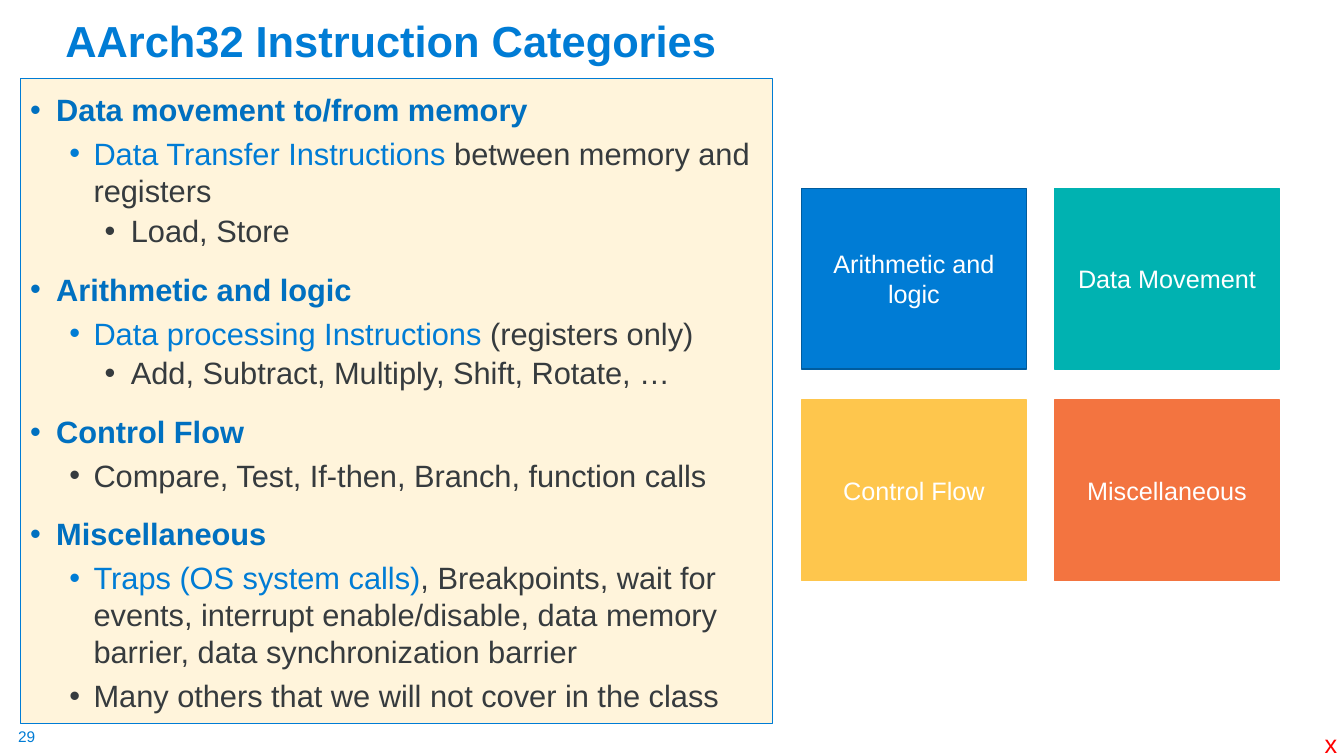
from dataclasses import dataclass

from lxml.etree import SubElement
from pptx import Presentation
from pptx.dml.color import RGBColor as RGB
from pptx.enum.shapes import MSO_SHAPE as Shape
from pptx.enum.text import MSO_ANCHOR as Anchor, PP_ALIGN as Align
from pptx.oxml.ns import qn
from pptx.util import Inches, Pt

FONT = "Arial"
BLUE = RGB(0x00, 0x7C, 0xD5)
HEAD = RGB(0x00, 0x70, 0xC0)
NAVY = RGB(0x00, 0x5C, 0x9E)
TEAL = RGB(0x00, 0xB2, 0xB1)
YELLOW = RGB(0xFE, 0xC6, 0x4D)
ORANGE = RGB(0xF3, 0x74, 0x40)
CREAM = RGB(0xFF, 0xF4, 0xDB)
GRAY = RGB(0x36, 0x3B, 0x3E)
WHITE = RGB(0xFF, 0xFF, 0xFF)
RED = RGB(0xFF, 0x00, 0x00)


@dataclass
class Level:
    left: float
    hang: float
    line: float
    before: int


@dataclass
class Item:
    level: int
    text: str
    lead: str = ""


@dataclass
class Tile:
    text: str
    fill: RGB
    edge: RGB


LEVELS = [
    Level(0.26, 0.26, 1.2, 10),
    Level(0.63, 0.24, 1.0, 5),
    Level(1.0, 0.26, 0.9, 5),
]

ITEMS = [
    Item(0, "Data movement to/from memory"),
    Item(1, "between memory and registers", "Data Transfer Instructions "),
    Item(2, "Load, Store"),
    Item(0, "Arithmetic and logic"),
    Item(1, "(registers only)", "Data processing Instructions "),
    Item(2, "Add, Subtract, Multiply, Shift, Rotate, …"),
    Item(0, "Control Flow"),
    Item(1, "Compare, Test, If-then, Branch, function calls"),
    Item(0, "Miscellaneous"),
    Item(1, ", Breakpoints, wait for events, interrupt enable/disable, "
            "data memory barrier, data synchronization barrier",
         "Traps (OS system calls)"),
    Item(1, "Many others that we will not cover in the class"),
]

TILES = [
    Tile("Arithmetic and logic", BLUE, NAVY),
    Tile("Data Movement", TEAL, TEAL),
    Tile("Control Flow", YELLOW, YELLOW),
    Tile("Miscellaneous", ORANGE, ORANGE),
]


def style(run, size: float, color: RGB, bold: bool = False) -> None:
    font = run.font
    font.name, font.size, font.bold = FONT, Pt(size), bold
    font.color.rgb = color


def add_label(slide, text: str, box: tuple, size: float, color: RGB,
              bold: bool = False):
    frame = slide.shapes.add_textbox(*map(Inches, box)).text_frame
    frame.text = text
    style(frame.paragraphs[0].runs[0], size, color, bold)
    return frame


def add_rect(slide, box: tuple, fill: RGB, edge: RGB, width: float):
    rect = slide.shapes.add_shape(Shape.RECTANGLE, *map(Inches, box))
    rect.shadow.inherit = False
    rect.fill.solid()
    rect.fill.fore_color.rgb = fill
    rect.line.color.rgb = edge
    rect.line.width = Pt(width)
    rect.text_frame.word_wrap = True
    return rect.text_frame


def add_bullet(para, level: Level) -> None:
    props = para._p.get_or_add_pPr()
    props.set("marL", str(Inches(level.left)))
    props.set("indent", str(-Inches(level.hang)))
    SubElement(props, qn("a:buFont")).set("typeface", FONT)
    SubElement(props, qn("a:buChar")).set("char", "•")


def add_list(slide) -> None:
    frame = add_rect(slide, (0.2, 0.78, 7.46, 6.4), CREAM, BLUE, 0.75)
    frame.vertical_anchor = Anchor.TOP
    for i, item in enumerate(ITEMS):
        para = frame.add_paragraph() if i else frame.paragraphs[0]
        level = LEVELS[item.level]
        add_bullet(para, level)
        para.level = item.level
        para.alignment = Align.LEFT
        para.line_spacing = level.line
        para.space_before = Pt(level.before if i else 0)
        top = item.level == 0
        if item.lead:
            run = para.add_run()
            run.text = item.lead
            style(run, 22, BLUE)
        run = para.add_run()
        run.text = item.text
        style(run, 22, HEAD if top else GRAY, top)


def add_tiles(slide) -> None:
    for i, tile in enumerate(TILES):
        row, col = divmod(i, 2)
        box = (7.95 + col * 2.51, 1.87 + row * 2.1, 2.23, 1.79)
        frame = add_rect(slide, box, tile.fill, tile.edge, 1)
        frame.vertical_anchor = Anchor.MIDDLE
        frame.text = tile.text
        para = frame.paragraphs[0]
        para.alignment = Align.CENTER
        style(para.runs[0], 18, WHITE)


def main() -> None:
    deck = Presentation()
    deck.slide_width, deck.slide_height = Inches(13.33), Inches(7.5)
    slide = deck.slides.add_slide(deck.slide_layouts[6])

    number = add_label(slide, "29", (0.18, 7.21, 0.19, 0.19), 11, BLUE)
    number.margin_left = number.margin_right = 0
    number.margin_top = number.margin_bottom = 0

    title = add_label(slide, "AArch32 Instruction Categories",
                      (0.55, 0.13, 11.5, 0.58), 31, BLUE, True)
    title.word_wrap = True
    title.vertical_anchor = Anchor.BOTTOM
    title.paragraphs[0].line_spacing = 0.9

    add_list(slide)
    add_tiles(slide)
    add_label(slide, "x", (13.04, 7.18, 0.33, 0.4), 18, RED)
    deck.save("out.pptx")


if __name__ == "__main__":
    main()
